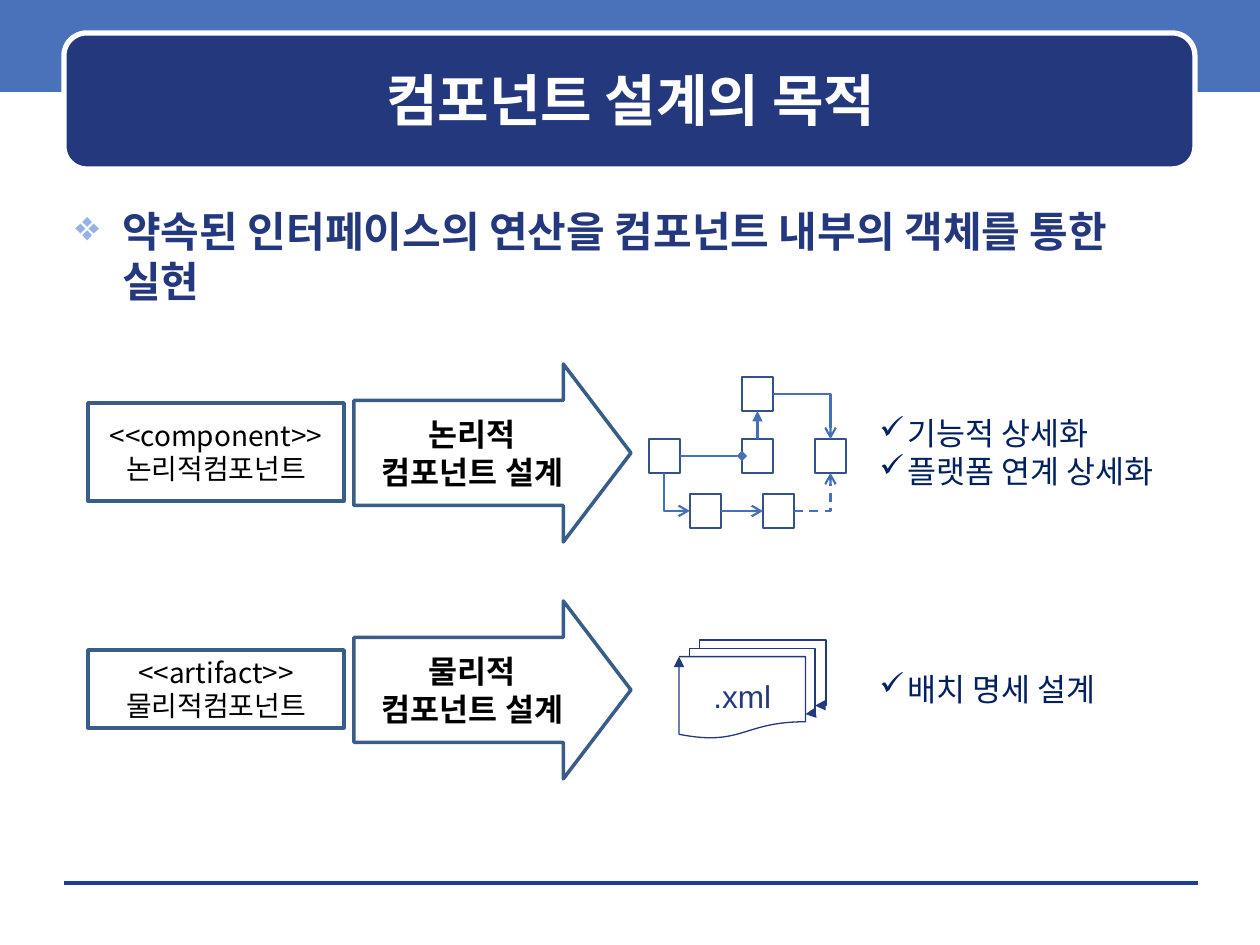
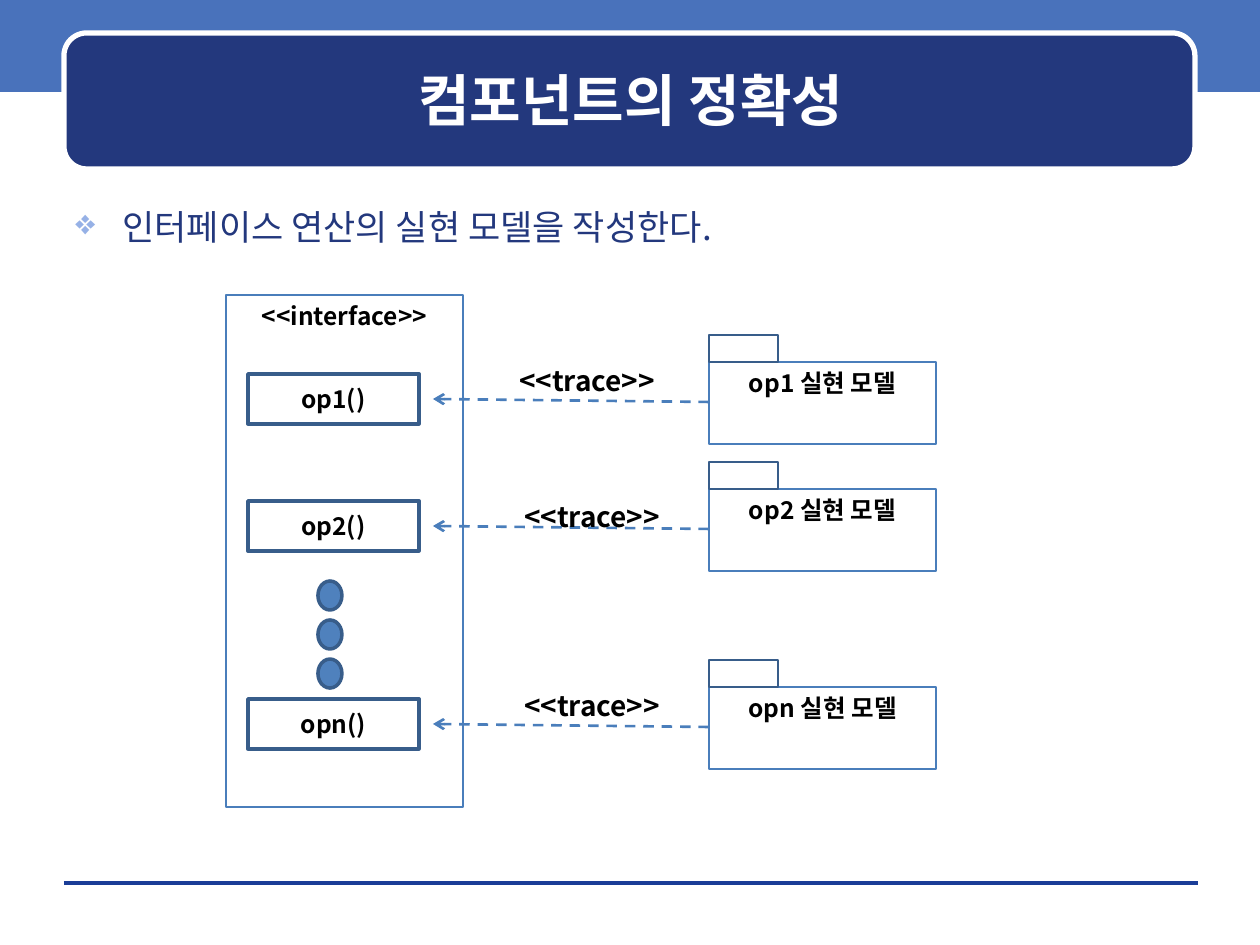
"""Builds two slides on the purpose and the correctness of component design."""
from lxml import etree
from pptx import Presentation
from pptx.dml.color import RGBColor
from pptx.enum.dml import MSO_LINE
from pptx.enum.shapes import MSO_CONNECTOR, MSO_SHAPE
from pptx.enum.text import MSO_ANCHOR, PP_ALIGN
from pptx.oxml.ns import qn
from pptx.util import Emu, Pt

RECT, ROUNDED, OVAL = MSO_SHAPE.RECTANGLE, MSO_SHAPE.ROUNDED_RECTANGLE, MSO_SHAPE.OVAL
RIGHT_ARROW, DOCUMENTS = MSO_SHAPE.RIGHT_ARROW, MSO_SHAPE.FLOWCHART_MULTIDOCUMENT
STRAIGHT, DASH = MSO_CONNECTOR.STRAIGHT, MSO_LINE.DASH
TOP, MIDDLE = MSO_ANCHOR.TOP, MSO_ANCHOR.MIDDLE
LEFT, CENTER = PP_ALIGN.LEFT, PP_ALIGN.CENTER

EMU_PER_PX = 914400 / 126
FONT = "Noto Sans CJK KR"
COLORS = {
    "band": "4972BB", "navy": "23387D", "rule": "1A3D97", "white": "FFFFFF",
    "black": "000000", "edge": "385D8A", "node": "335289", "link": "446FBA",
    "trace": "4A7EBB", "dot": "4F81BD", "check": "002060", "bullet": "96B1E6",
}

PURPOSE = {
    "title": "컴포넌트 설계의 목적",
    "lead": "약속된 인터페이스의 연산을 컴포넌트 내부의 객체를 통한 실현",
}
DESIGN_STEPS = [
    {"component": ["<<component>>", "논리적컴포넌트"], "component_box": (88, 403, 256, 98),
     "step": ["논리적", "컴포넌트 설계"], "step_top": 364,
     "results": ["기능적 상세화", "플랫폼 연계 상세화"], "results_box": (867, 408, 354, 88)},
    {"component": ["<<artifact>>", "물리적컴포넌트"], "component_box": (88, 650, 256, 78),
     "step": ["물리적", "컴포넌트 설계"], "step_top": 601,
     "results": ["배치 명세 설계"], "results_box": (867, 664, 354, 50)},
]
NODE_W, NODE_H = 31, 34
NODES = {
    "top": (742, 377), "center": (742, 439), "right": (815, 439),
    "left": (649, 439), "low_left": (690, 494), "low_right": (763, 494),
}
LINKS = [
    (("top", "e"), ("right", "n"), {"tail": "arrow"}),
    (("center", "n"), ("top", "s"), {"tail": "triangle"}),
    (("left", "e"), ("center", "w"), {"tail": "diamond"}),
    (("low_right", "e"), ("right", "s"), {"tail": "arrow", "dashed": True}),
    (("low_left", "w"), ("left", "s"), {"head": "arrow"}),
    (("low_left", "e"), ("low_right", "w"), {"tail": "arrow"}),
]

CORRECTNESS = {
    "title": "컴포넌트의 정확성",
    "lead": "인터페이스 연산의 실현 모델을 작성한다.",
}
INTERFACE = "<<interface>>"
TRACE = "<<trace>>"
OPERATIONS = [
    ("op1", 374, (507, 357)),
    ("op2", 501, (512, 493)),
    ("opn", 699, (512, 682)),
]
DOT_COUNT, DOT_TOP, DOT_STEP = 3, 581, 39


def px(value):
    return Emu(round(value * EMU_PER_PX))


def rgb(name):
    return RGBColor.from_string(COLORS[name])


def add_line_ends(shape, head, tail):
    outline = shape._element.spPr.get_or_add_ln()
    for tag, kind in (("a:headEnd", head), ("a:tailEnd", tail)):
        if kind:
            etree.SubElement(outline, qn(tag), type=kind)


def add_bullet(paragraph, mark, color, indent):
    props = paragraph._p.get_or_add_pPr()
    props.set("marL", str(px(indent)))
    props.set("indent", str(-px(indent)))
    bullet_color = etree.SubElement(props, qn("a:buClr"))
    etree.SubElement(bullet_color, qn("a:srgbClr"), val=COLORS[color])
    etree.SubElement(props, qn("a:buChar"), char=mark)


def write(shape, lines, size, color="black", bold=False, align=CENTER, anchor=MIDDLE,
          font=FONT, wrap=True, bullet=None):
    frame = shape.text_frame
    frame.word_wrap = wrap
    frame.vertical_anchor = anchor
    for index, line in enumerate(lines):
        paragraph = frame.add_paragraph() if index else frame.paragraphs[0]
        paragraph.text = line
        paragraph.alignment = align
        if bullet:
            add_bullet(paragraph, *bullet)
        paragraph.font.size = Pt(size)
        paragraph.font.bold = bold
        paragraph.font.color.rgb = rgb(color)
        paragraph.font.name = font
        defaults = paragraph._p.pPr.find(qn("a:defRPr"))
        etree.SubElement(defaults, qn("a:ea"), typeface=font)


def add_text(slide, box, lines, size, **style):
    write(slide.shapes.add_textbox(*map(px, box)), lines, size, **style)


def add_block(slide, kind, box, fill=None, line=None, width=2):
    block = slide.shapes.add_shape(kind, *map(px, box))
    block.shadow.inherit = False
    if fill:
        block.fill.solid()
        block.fill.fore_color.rgb = rgb(fill)
    else:
        block.fill.background()
    if line:
        block.line.color.rgb = rgb(line)
        block.line.width = Pt(width)
    else:
        block.line.fill.background()
    return block


def add_link(slide, start, end, color, width, dashed=False, head=None, tail=None):
    link = slide.shapes.add_connector(STRAIGHT, *map(px, (*start, *end)))
    link.line.color.rgb = rgb(color)
    link.line.width = Pt(width)
    if dashed:
        link.line.dash_style = DASH
    add_line_ends(link, head, tail)
    etree.SubElement(link._element.spPr, qn("a:effectLst"))
    return link


def add_slide(deck, title, lead, size, bold):
    slide = deck.slides.add_slide(deck.slide_layouts[6])
    add_block(slide, RECT, (0, -4, 1260, 96), fill="band")
    add_link(slide, (64, 883), (1198, 883), "rule", 0)
    add_block(slide, ROUNDED, (64, 33, 1131, 136), fill="navy", line="white", width=3)
    add_text(slide, (76, 44, 1110, 111), [title], 32, color="white", bold=True)
    add_text(slide, (63, 199, 1134, 672), [lead], size, color="navy", bold=bold,
             align=LEFT, anchor=TOP, bullet=("❖", "bullet", 47))
    return slide


def node_point(name, side):
    left, top = NODES[name]
    across, down = {"n": (0.5, 0), "s": (0.5, 1), "w": (0, 0.5), "e": (1, 0.5)}[side]
    return left + across * NODE_W, top + down * NODE_H


def draw_object_model(slide):
    for corner in NODES.values():
        add_block(slide, RECT, (*corner, NODE_W, NODE_H), line="node", width=1.5)
    for source, target, style in LINKS:
        start, end = node_point(*source), node_point(*target)
        link = add_link(slide, start, end, "link", 1.25, **style)
        if start[0] != end[0] and start[1] != end[1]:
            link._element.spPr.find(qn("a:prstGeom")).set("prst", "bentConnector2")


def build_purpose(deck):
    slide = add_slide(deck, **PURPOSE, size=24, bold=True)
    for row in DESIGN_STEPS:
        component = add_block(slide, RECT, row["component_box"], line="edge")
        write(component, row["component"], 16)
        step = add_block(slide, RIGHT_ARROW, (354, row["step_top"], 277, 178), line="edge")
        step.adjustments[0], step.adjustments[1] = 0.59, 0.38
        write(step, row["step"], 18, bold=True)
        add_text(slide, row["results_box"], row["results"], 18, color="check",
                 align=LEFT, anchor=TOP, bullet=("✓", "check", 28))
    draw_object_model(slide)
    documents = add_block(slide, DOCUMENTS, (679, 640, 147, 98), line="navy", width=0.75)
    add_line_ends(documents, None, "triangle")
    write(documents, [".xml"], 18, color="navy", font="Arial", wrap=False)


def build_correctness(deck):
    slide = add_slide(deck, **CORRECTNESS, size=20, bold=False)
    interface = add_block(slide, RECT, (226, 295, 237, 512), line="trace", width=1.25)
    write(interface, [INTERFACE], 14, bold=True, anchor=TOP)
    for name, top, trace_corner in OPERATIONS:
        operation = add_block(slide, RECT, (248, top, 171, 50), line="edge")
        write(operation, [f"{name}()"], 14, bold=True)
        model = add_block(slide, RECT, (709, top - 12, 227, 82), line="trace", width=1.25)
        write(model, [f"{name} 실현 모델"], 14, bold=True, anchor=TOP)
        add_block(slide, RECT, (709, top - 39, 69, 27), line="edge", width=1.5)
        add_link(slide, (709, top + 28), (433, top + 25), "trace", 1.5,
                 dashed=True, tail="arrow")
        add_text(slide, (*trace_corner, 161, 47), [TRACE], 16, bold=True,
                 align=LEFT, anchor=TOP, wrap=False)
    for index in range(DOT_COUNT):
        add_block(slide, OVAL, (318, DOT_TOP + index * DOT_STEP, 24, 29),
                  fill="dot", line="edge")


def main():
    deck = Presentation()
    deck.slide_width, deck.slide_height = px(1260), px(945)
    build_purpose(deck)
    build_correctness(deck)
    deck.save("out.pptx")


if __name__ == "__main__":
    main()
